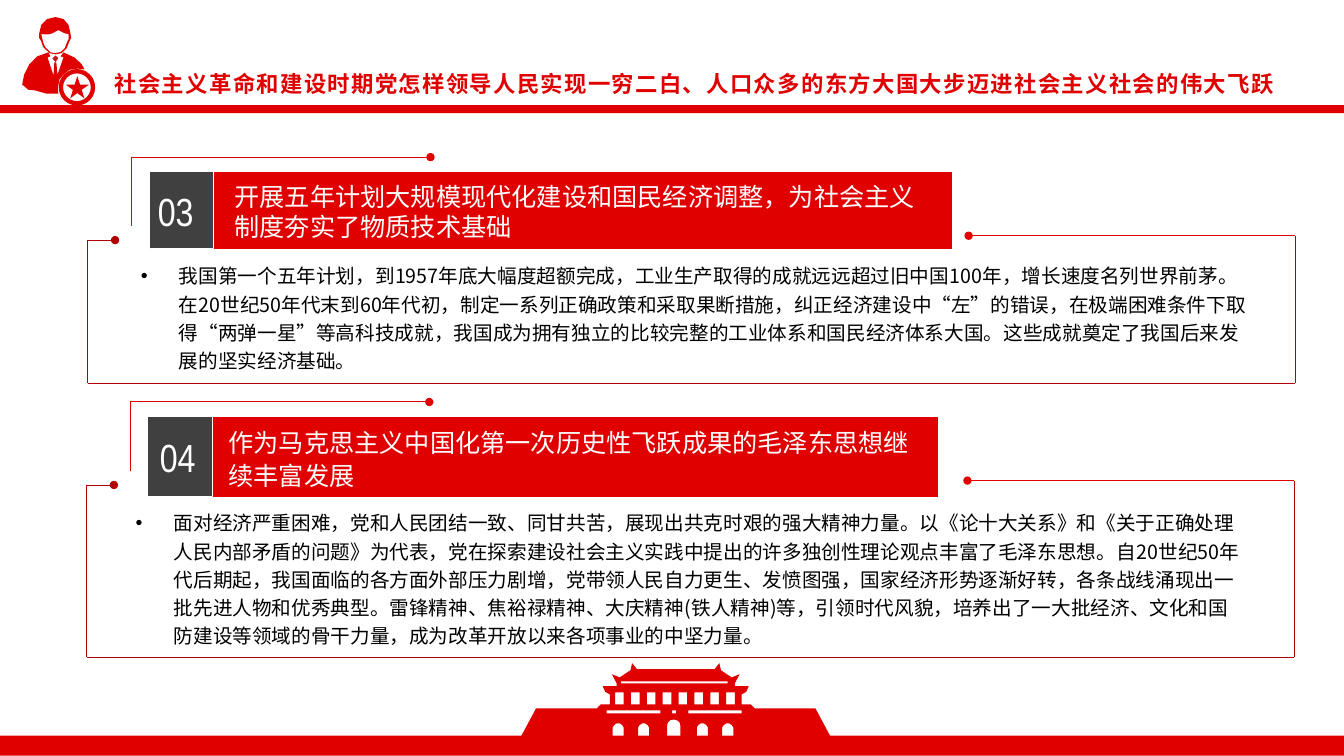
import dataclasses
import math

import lxml.etree
import pptx
import pptx.dml.color
import pptx.enum.lang
import pptx.enum.shapes
import pptx.enum.text
import pptx.oxml.ns
import pptx.util

Cm = pptx.util.Cm
Pt = pptx.util.Pt
SHAPE = pptx.enum.shapes.MSO_SHAPE
qn = pptx.oxml.ns.qn


@dataclasses.dataclass
class Theme:
    red: str = "E00000"
    dark_red: str = "B00000"
    tie: str = "C61821"
    gray: str = "404040"
    white: str = "FFFFFF"
    black: str = "000000"
    cjk: str = "Noto Sans CJK SC"
    narrow: str = "Arial Narrow"
    title: int = 16
    number: int = 28
    heading: int = 18
    body: int = 14


@dataclasses.dataclass
class Panel:
    box: tuple
    header: tuple        # width, height of the red bar
    number: str
    number_at: tuple
    heading: str
    heading_at: tuple
    heading_spacing: float
    body: str
    body_at: tuple


T = Theme()


def rgb(color):
    return pptx.dml.color.RGBColor.from_string(color)


# Drawing helpers, all lengths in centimetres
def paint(sp, fill, line=None):
    sp.shadow.inherit = False
    if fill:
        sp.fill.solid()
        sp.fill.fore_color.rgb = rgb(fill)
    else:
        sp.fill.background()
    if line:
        sp.line.color.rgb = rgb(line)
        sp.line.width = Pt(0.75)
    else:
        sp.line.fill.background()
    return sp


def add_shape(s, kind, x, y, w, h, fill, line=None):
    return paint(s.shapes.add_shape(kind, Cm(x), Cm(y), Cm(w), Cm(h)), fill, line)


def add_outline(s, x, y, contours, fill, line=None, close=True):
    """Contour points are hundredths of a centimetre from (x, y)."""
    fb = s.shapes.build_freeform(*contours[0][0], scale=Cm(0.01))
    for i, points in enumerate(contours):
        if i:
            fb.move_to(*points[0])
        fb.add_line_segments(points[1:], close=close)
    return paint(fb.convert_to_shape(Cm(x), Cm(y)), fill, line)


def add_dot(sp, end):
    lxml.etree.SubElement(sp.line._get_or_add_ln(), qn("a:" + end), type="oval")


def add_line(s, x1, y1, x2, y2, color, dot=None):
    sp = s.shapes.add_connector(pptx.enum.shapes.MSO_CONNECTOR.STRAIGHT,
                                Cm(x1), Cm(y1), Cm(x2), Cm(y2))
    sp.line.color.rgb = rgb(color)
    sp.line.width = Pt(0.5)
    if dot:
        add_dot(sp, dot)
    lxml.etree.SubElement(sp._element.spPr, qn("a:effectLst"))


def add_text(s, x, y, w, h, text, size, color, font=T.cjk, bold=False,
             spacing=None, tracking=None, bullet=False):
    tf = s.shapes.add_textbox(Cm(x), Cm(y), Cm(w), Cm(h)).text_frame
    tf.word_wrap = True
    tf.auto_size = pptx.enum.text.MSO_AUTO_SIZE.SHAPE_TO_FIT_TEXT
    p = tf.paragraphs[0]
    if spacing:
        p.line_spacing = spacing
    if bullet:
        pPr = p._p.get_or_add_pPr()
        pPr.set("marL", str(Cm(0.96)))
        pPr.set("indent", str(Cm(-0.96)))
        lxml.etree.SubElement(pPr, qn("a:buFont"), typeface="Arial")
        lxml.etree.SubElement(pPr, qn("a:buChar"), char="•")
    r = p.add_run()
    r.text = text
    r.font.size = Pt(size)
    r.font.bold = bold
    r.font.color.rgb = rgb(color)
    r.font.name = font
    r.font.language_id = pptx.enum.lang.MSO_LANGUAGE_ID.SIMPLIFIED_CHINESE
    rPr = r._r.get_or_add_rPr()
    lxml.etree.SubElement(rPr, qn("a:ea"), typeface=font)
    if tracking:
        rPr.set("spc", str(tracking))


# Person with a star badge
def add_person(s, x, y):
    badge = add_shape(s, SHAPE.DONUT, x + 0.92, y + 1.31, 0.92, 0.92, T.red)
    badge.adjustments[0] = 0.12
    add_shape(s, SHAPE.STAR_5_POINT, x + 1.1, y + 1.49, 0.58, 0.56, T.red)
    tie = [(76, 104), (84, 114), (91, 103), (84, 97)]
    hair = [(43, 53), (48, 61), (53, 76), (69, 91), (84, 94), (99, 91), (112, 79),
            (119, 61), (123, 53), (122, 43), (117, 20), (104, 5), (84, 0), (63, 5),
            (48, 20), (43, 41)]
    face = [(48, 43), (64, 44), (76, 41), (91, 33), (107, 41), (117, 43), (117, 56),
            (114, 61), (107, 79), (97, 88), (84, 91), (71, 89), (58, 76), (53, 64)]
    suit = [(104, 145), (119, 133), (140, 130), (157, 132), (150, 119), (132, 102),
            (104, 89), (97, 99), (104, 102), (89, 145), (86, 114), (81, 114),
            (79, 147), (64, 102), (71, 99), (66, 89), (38, 99), (18, 119), (5, 145),
            (0, 170), (15, 183), (33, 185), (61, 193), (91, 193), (90, 178), (94, 157)]
    add_outline(s, x, y, [tie], T.tie)
    add_outline(s, x, y, [hair, face], T.red)
    add_outline(s, x, y, [suit], T.red)


# Gate building, centred on x
def add_gate(s, x, y):
    def block(left, top, right, bottom):
        return [(left, top), (right, top), (right, bottom), (left, bottom)]

    def arch(cx, half, top, base=185):
        curve = [(cx - half * math.cos(a), top + half - half * math.sin(a))
                 for a in (math.pi * i / 12 for i in range(13))]
        return [(cx - half, base)] + curve + [(cx + half, base)]

    side = [(98, 15), (110, 0), (114, 18), (141, 36), (161, 28), (149, 51), (149, 58),
            (184, 58), (178, 72), (166, 79), (166, 104), (189, 104), (199, 114),
            (352, 114), (390, 185)]
    walls = side + [(-px, py) for px, py in reversed(side)]
    windows = [block(cx - 11, 74, cx + 11, 104) for cx in range(-142, 139, 40)]
    slits = [block(-138, 46, 131, 51)]
    slits += [block(a, 119, b, 127) for a, b in ((-174, -39), (-9, 1), (32, 166))]
    doors = [arch(cx, 14, 152) for cx in (-145, -81, 67, 131)] + [arch(-5, 17, 142)]
    add_outline(s, x, y, [walls] + windows + slits + doors, T.red)


def add_title_band(s, width, title):
    add_person(s, 0.56, 0.43)
    add_shape(s, SHAPE.RECTANGLE, 0, 2.65, width, 0.2, T.red)
    add_text(s, 2.64, 1.65, 30.43, 0.94, title, T.title, T.red, bold=True, tracking=100)


def add_footer(s, width):
    add_shape(s, SHAPE.RECTANGLE, 0, 18.54, width, 0.5, T.red)
    add_gate(s, 17.03, 16.71)


def add_panel(s, panel):
    x, y, w, h = panel.box
    right, bottom = x + w, y + h
    # Header bar, corner bracket and number
    add_shape(s, SHAPE.RECTANGLE, x + 1.58, y + 0.36, *panel.header, T.red, T.white)
    bracket = add_outline(s, x + 1.1, y, [[(0, 173), (0, 0), (754, 0)]],
                          None, T.red, close=False)
    add_dot(bracket, "tailEnd")
    add_shape(s, SHAPE.RECTANGLE, x + 1.55, y + 0.36, 1.63, panel.header[1] - 0.03,
              T.gray, T.white)
    dx, dy = panel.number_at
    add_text(s, x + dx, y + dy, 1.55, 1.45, panel.number, T.number, T.white, T.narrow)
    dx, dy = panel.heading_at
    add_text(s, x + dx, y + dy, 18.18, 1.8, panel.heading, T.heading, T.white,
             spacing=panel.heading_spacing)
    # Frame
    add_line(s, x + 22.2, y + 1.98, right, y + 1.98, T.red, "headEnd")
    add_line(s, x, y + 2.09, x + 0.69, y + 2.09, T.dark_red, "tailEnd")
    add_line(s, x, y + 2.09, x, bottom, T.dark_red)
    add_line(s, x, bottom, right, bottom, T.dark_red)
    add_line(s, right, y + 1.98, right, bottom, T.dark_red)
    # Body
    dx, dy = panel.body_at
    add_text(s, x + dx, y + dy, 28.45, h - dy - 0.1, panel.body, T.body, T.black,
             spacing=1.2, bullet=True)


TITLE = "社会主义革命和建设时期党怎样领导人民实现一穷二白、人口众多的东方大国大步迈进社会主义社会的伟大飞跃"
PANELS = [
    Panel((2.21, 3.96, 30.43, 5.69), (20.22, 1.98), "03", (1.52, 0.64),
          "开展五年计划大规模现代化建设和国民经济调整，为社会主义制度夯实了物质技术基础",
          (3.45, 0.48), None,
          "我国第一个五年计划，到1957年底大幅度超额完成，工业生产取得的成就远远超过旧中国100年，增长速度名列世界前茅。在20世纪50年代末到60年代初，制定一系列正确政策和采取果断措施，纠正经济建设中“左”的错误，在极端困难条件下取得“两弹一星”等高科技成就，我国成为拥有独立的比较完整的工业体系和国民经济体系大国。这些成就奠定了我国后来发展的坚实经济基础。",
          (1.09, 2.46)),
    Panel((2.18, 10.13, 30.43, 6.43), (19.89, 2.06), "04", (1.6, 0.66),
          "作为马克思主义中国化第一次历史性飞跃成果的毛泽东思想继续丰富发展",
          (3.33, 0.43), 1.1,
          "面对经济严重困难，党和人民团结一致、同甘共苦，展现出共克时艰的强大精神力量。以《论十大关系》和《关于正确处理人民内部矛盾的问题》为代表，党在探索建设社会主义实践中提出的许多独创性理论观点丰富了毛泽东思想。自20世纪50年代后期起，我国面临的各方面外部压力剧增，党带领人民自力更生、发愤图强，国家经济形势逐渐好转，各条战线涌现出一批先进人物和优秀典型。雷锋精神、焦裕禄精神、大庆精神(铁人精神)等，引领时代风貌，培养出了一大批经济、文化和国防建设等领域的骨干力量，成为改革开放以来各项事业的中坚力量。",
          (0.99, 2.51)),
]


def main():
    width, height = 33.87, 19.05
    prs = pptx.Presentation()
    prs.slide_width, prs.slide_height = Cm(width), Cm(height)
    s = prs.slides.add_slide(prs.slide_layouts[6])
    add_footer(s, width)
    add_title_band(s, width, TITLE)
    for panel in PANELS:
        add_panel(s, panel)
    prs.save("out.pptx")


if __name__ == "__main__":
    main()
